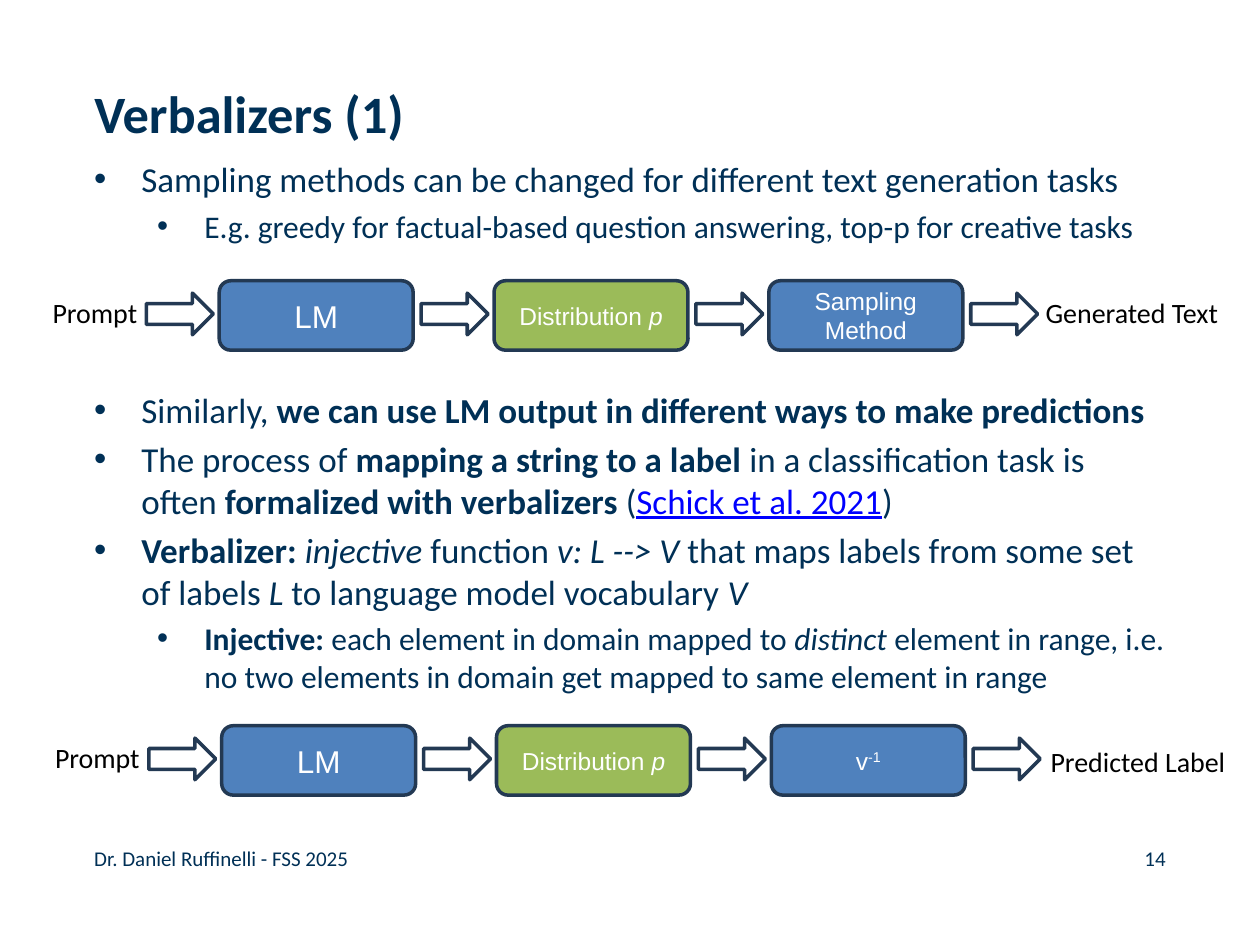
from lxml.etree import SubElement
from pptx import Presentation
from pptx.dml.color import RGBColor
from pptx.enum.shapes import MSO_SHAPE as Shape
from pptx.enum.text import MSO_ANCHOR as Anchor, PP_ALIGN as Align
from pptx.oxml.ns import qn
from pptx.util import Cm, Pt

NAVY = RGBColor(0x00, 0x30, 0x56)
EDGE = RGBColor(0x23, 0x39, 0x53)
BLUE = RGBColor(0x4F, 0x81, 0xBD)
GREEN = RGBColor(0x9B, 0xBB, 0x59)
LINK = RGBColor(0x00, 0x00, 0xFF)
WHITE = RGBColor(0xFF, 0xFF, 0xFF)
BLACK = RGBColor(0x00, 0x00, 0x00)

STEP = 5.54

POINTS = [
    (0, 0, [("Sampling methods can be changed for different text generation tasks", "")]),
    (1, 4, [("E.g. greedy for factual-based question answering, top-p for creative tasks", "")]),
    (0, 82, [("Similarly, ", ""),
             ("we can use LM output in different ways to make predictions", "b")]),
    (0, 4, [("The process of ", ""), ("mapping a string to a label ", "b"),
            ("in a classification task is often ", ""),
            ("formalized with verbalizers ", "b"), ("(", ""),
            ("Schick et al. 2021", "u"), (")", "")]),
    (0, 4, [("Verbalizer: ", "b"), ("injective", "i"), (" function ", ""),
            ("v: L --> V", "i"), (" that maps labels from some set of labels ", ""),
            ("L", "i"), (" to language model vocabulary ", ""), ("V", "i")]),
    (1, 4, [("Injective: ", "b"), ("each element in domain mapped to ", ""),
            ("distinct ", "i"),
            ("element in range, i.e. no two elements in domain get mapped to same element in range", "")]),
]


def add_runs(para, runs, size, color, face="Calibri"):
    for text, style in runs:
        run = para.add_run()
        run.text = text
        font = run.font
        font.name = face
        font.size = Pt(size)
        font.bold = "b" in style
        font.italic = "i" in style
        font.underline = "u" in style
        font.color.rgb = LINK if "u" in style else color
        if "^" in style:
            run._r.get_or_add_rPr().set("baseline", "30000")


def set_frame(frame, pad=0, wrap=True, anchor=Anchor.TOP):
    frame.margin_left = frame.margin_right = Cm(pad)
    frame.margin_top = frame.margin_bottom = Cm(pad / 2)
    frame.word_wrap = wrap
    frame.vertical_anchor = anchor


def add_title(slide, text):
    title = slide.shapes.title
    title.left, title.top = Cm(1.9), Cm(1.63)
    title.width, title.height = Cm(18.67), Cm(1.6)
    set_frame(title.text_frame)
    para = title.text_frame.paragraphs[0]
    para.alignment = Align.LEFT
    add_runs(para, [(text, "b")], 30, NAVY)


def add_text(slide, box, text, size, color, pad=0, wrap=True, align=Align.LEFT):
    shape = slide.shapes.add_textbox(*map(Cm, box))
    set_frame(shape.text_frame, pad, wrap)
    para = shape.text_frame.paragraphs[0]
    para.alignment = align
    add_runs(para, [(text, "")], size, color)


def add_bullet(para, level):
    props = para._p.get_or_add_pPr()
    props.set("marL", str(Cm(0.95 + 1.27 * level)))
    props.set("indent", str(Cm(-0.95)))
    SubElement(props, qn("a:buFont")).set("typeface", "Arial")
    SubElement(props, qn("a:buChar")).set("char", "•")


def add_points(slide):
    shape = slide.shapes.add_textbox(Cm(1.9), Cm(3.18), Cm(21.6), Cm(13.84))
    frame = shape.text_frame
    set_frame(frame)
    for num, (level, gap, runs) in enumerate(POINTS):
        para = frame.add_paragraph() if num else frame.paragraphs[0]
        para.level = level
        para.space_before = Pt(gap)
        add_bullet(para, level)
        add_runs(para, runs, 18 if level else 20, NAVY)


def add_block(slide, kind, box, fill):
    shape = slide.shapes.add_shape(kind, *map(Cm, box))
    shape.shadow.inherit = False
    shape.fill.solid()
    shape.fill.fore_color.rgb = fill
    shape.line.color.rgb = EDGE
    shape.line.width = Pt(2)
    return shape


def add_node(slide, left, top, fill, size, runs):
    shape = add_block(slide, Shape.ROUNDED_RECTANGLE, (left, top, 3.91, 1.4), fill)
    set_frame(shape.text_frame, 0.25, anchor=Anchor.MIDDLE)
    para = shape.text_frame.paragraphs[0]
    para.alignment = Align.CENTER
    add_runs(para, runs, size, WHITE, "Arial")


def add_flow(slide, left, top, last, end, spot):
    nodes = [(BLUE, 18, [("LM", "")]),
             (GREEN, 14, [("Distribution ", ""), ("p", "i")]),
             (BLUE, 14, last)]
    for num, node in enumerate(nodes):
        add_node(slide, left + 3.61 + num * STEP, top, *node)
    for num in range(len(nodes) + 1):
        box = (left + 2.14 + num * STEP, top + 0.25, 1.35, 0.84)
        add_block(slide, Shape.RIGHT_ARROW, box, WHITE)
    add_text(slide, (left, top + 0.18, 2.26, 0.94), "Prompt", 16, BLACK, 0.25, False)
    add_text(slide, spot, end, 16, BLACK, 0.25, False)


def main():
    deck = Presentation()
    deck.slide_width, deck.slide_height = Cm(25.4), Cm(19.05)
    slide = deck.slides.add_slide(deck.slide_layouts[5])
    add_title(slide, "Verbalizers (1)")
    add_points(slide)
    add_flow(slide, 0.81, 5.66, [("Sampling Method", "")],
             "Generated Text", (20.83, 5.84, 4.01, 0.94))
    add_flow(slide, 0.86, 14.63, [("v", ""), ("-1", "^")],
             "Predicted Label", (20.93, 14.88, 4.22, 0.94))
    add_text(slide, (1.9, 17.04, 8.05, 0.51), "Dr. Daniel Ruffinelli - FSS 2025", 12, NAVY)
    add_text(slide, (20.57, 17.04, 2.93, 0.51), "14", 12, NAVY, align=Align.RIGHT)
    deck.save("out.pptx")


if __name__ == "__main__":
    main()
